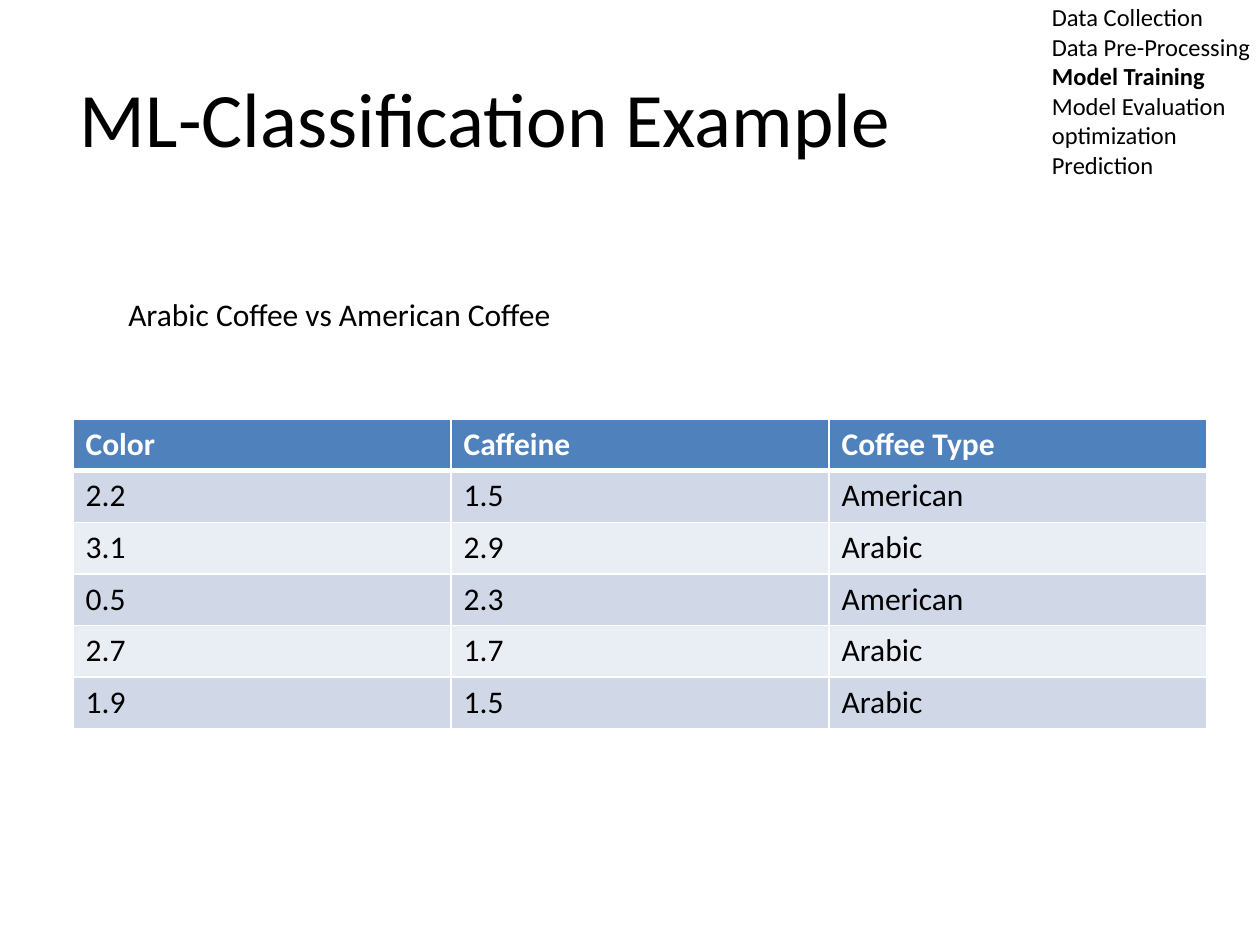
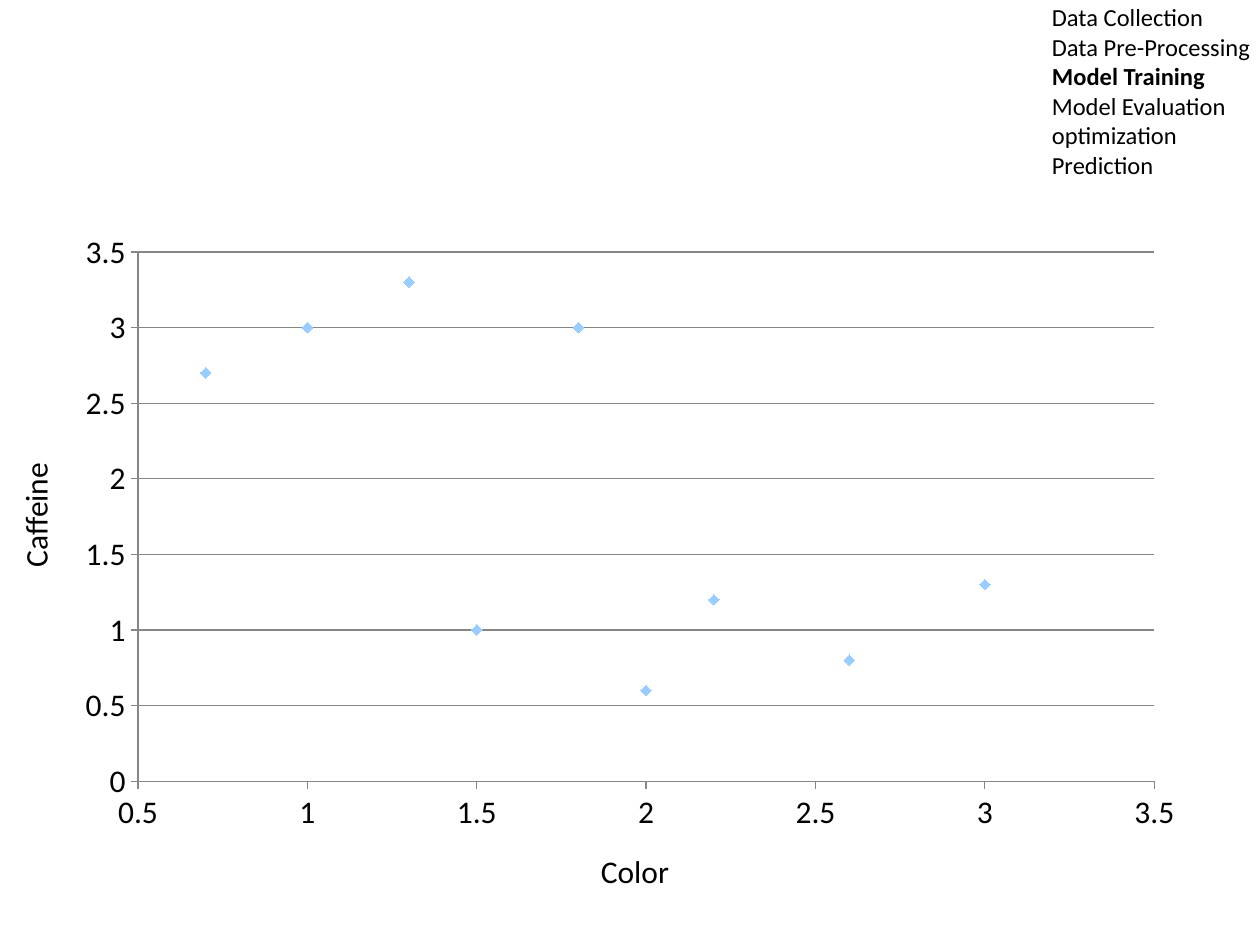
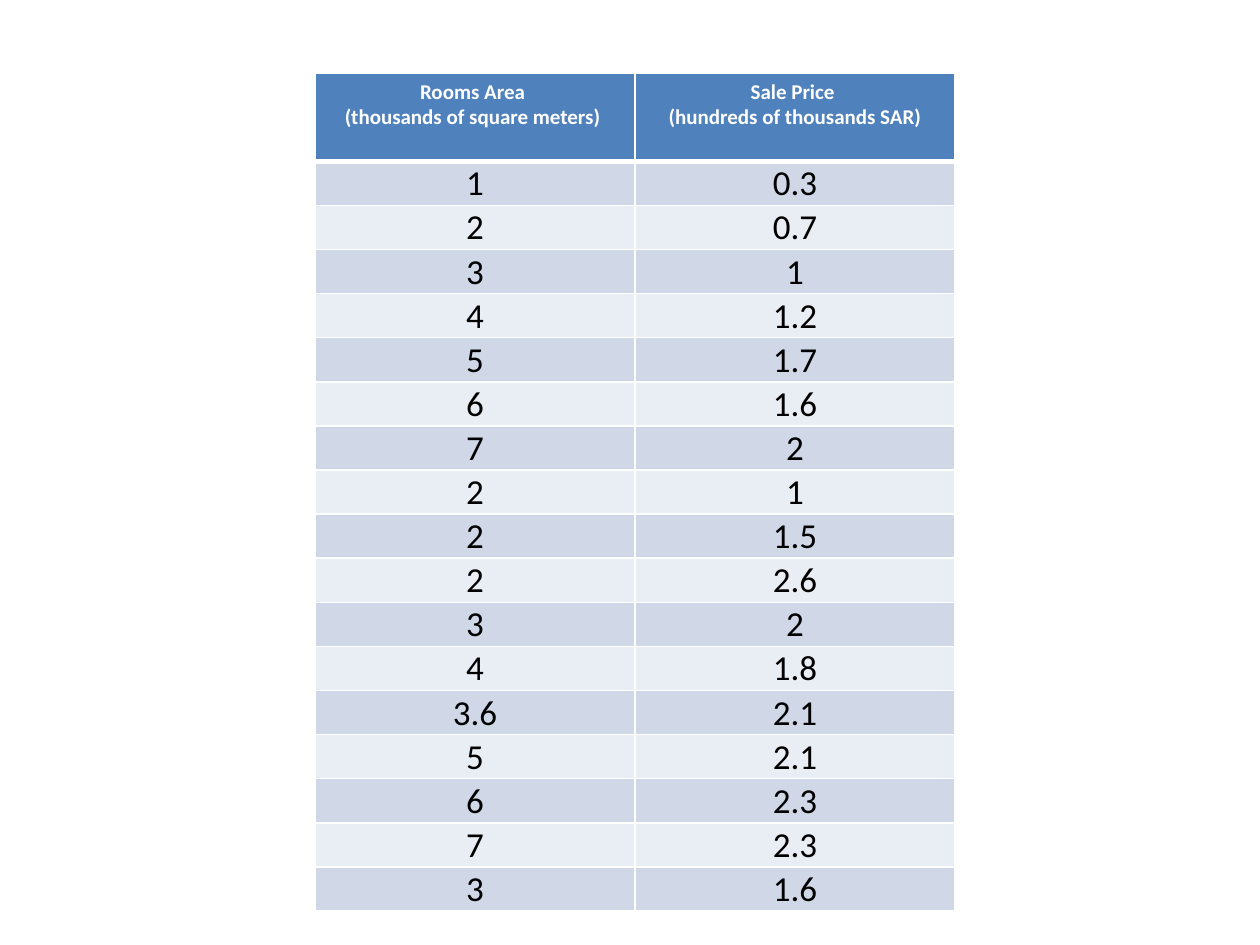
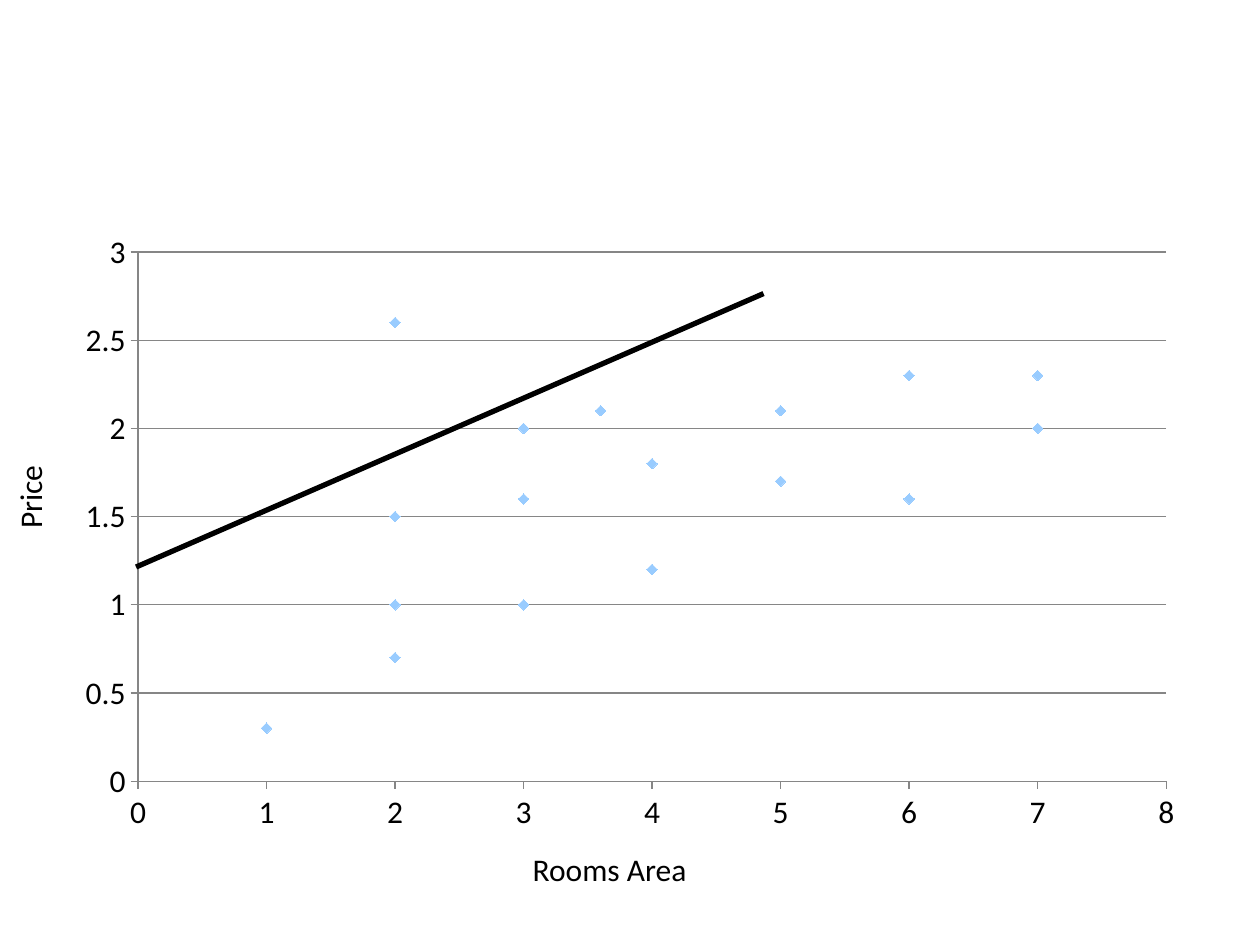
from lxml import etree
from pptx import Presentation
from pptx import util as u
from pptx.chart import data as chart_data
from pptx.dml import color
from pptx.enum import chart as charts, shapes, text
from pptx.oxml import ns

COLORS = {"text": "000000", "white": "FFFFFF", "header": "4F81BD",
          "band_dark": "D0D8E8", "band_light": "E9EDF4",
          "marker": "99CCFF", "axis": "868686"}
FONT = "Calibri"
TITLE_ONLY, BLANK = 5, 6
CENTER = text.PP_ALIGN.CENTER


def rgb(name):
    return color.RGBColor.from_string(COLORS[name])


class Deck:
    """Holds the shared style and the current slide."""

    def __init__(self):
        self.presentation = Presentation()
        self.presentation.slide_width = u.Inches(10)
        self.presentation.slide_height = u.Inches(7.5)
        self.slide = None

    def new_slide(self, layout=BLANK):
        layouts = self.presentation.slide_layouts
        self.slide = self.presentation.slides.add_slide(layouts[layout])

    def add_lines(self, frame, lines, size, ink="text", bold=(), align=None):
        """Add one paragraph per line; bold lists the bold line numbers."""
        for index, line in enumerate(lines):
            paragraph = frame.paragraphs[0] if index == 0 else frame.add_paragraph()
            if align is not None:
                paragraph.alignment = align
            run = paragraph.add_run()
            run.text = line
            run.font.name = FONT
            run.font.size = u.Pt(size)
            run.font.bold = index in bold
            run.font.color.rgb = rgb(ink)

    def title(self, line, left, top, width, height):
        shape = self.slide.shapes.title
        shape.left, shape.top = u.Inches(left), u.Inches(top)
        shape.width, shape.height = u.Inches(width), u.Inches(height)
        shape.text_frame.vertical_anchor = text.MSO_ANCHOR.MIDDLE
        self.add_lines(shape.text_frame, [line], 44, align=CENTER)

    def label(self, lines, left, top, width, height=0.4, size=18, bold=(), rotation=0):
        shape = self.slide.shapes.add_textbox(
            u.Inches(left), u.Inches(top), u.Inches(width), u.Inches(height))
        shape.rotation = rotation
        shape.text_frame.word_wrap = False
        shape.text_frame.auto_size = text.MSO_AUTO_SIZE.SHAPE_TO_FIT_TEXT
        self.add_lines(shape.text_frame, lines, size, bold=bold)

    def pipeline(self, current):
        """List the steps in the corner, with the current one in bold."""
        steps = ["Data Collection", "Data Pre-Processing", "Model Training",
                 "Model Evaluation", "optimization", "Prediction"]
        lines = [step + "\u00a0" for step in steps[:-1]] + steps[-1:]
        self.label(lines, 8.25, -0.03, 1.83, 1.82, size=14,
                   bold=[steps.index(current)])

    def cell_borders(self, cell, bottom):
        properties = cell._tc.get_or_add_tcPr()
        widths = {"a:lnL": 1, "a:lnR": 1, "a:lnT": 1, "a:lnB": bottom}
        for position, (tag, width) in enumerate(widths.items()):
            line = etree.Element(ns.qn(tag), w=str(u.Pt(width)))
            fill = etree.SubElement(line, ns.qn("a:solidFill"))
            etree.SubElement(fill, ns.qn("a:srgbClr"), val=COLORS["white"])
            properties.insert(position, line)

    def table(self, rows, left, top, width, header_height, row_height,
              header_size=18, body_size=18, align=None, tight=False):
        """Each cell is a list of lines; the first row is the header."""
        height = header_height + row_height * (len(rows) - 1)
        table = self.slide.shapes.add_table(
            len(rows), len(rows[0]), u.Inches(left), u.Inches(top),
            u.Inches(width), u.Inches(height)).table
        for row_number, row in enumerate(rows):
            header = row_number == 0
            table.rows[row_number].height = u.Inches(
                header_height if header else row_height)
            band = "header" if header else ("band_light", "band_dark")[row_number % 2]
            for column, lines in enumerate(row):
                cell = table.cell(row_number, column)
                cell.fill.solid()
                cell.fill.fore_color.rgb = rgb(band)
                self.cell_borders(cell, bottom=3 if header else 1)
                if tight and not header:
                    cell.vertical_anchor = text.MSO_ANCHOR.BOTTOM
                    cell.margin_left = cell.margin_right = u.Inches(0.01)
                    cell.margin_top, cell.margin_bottom = u.Inches(0.01), 0
                self.add_lines(cell.text_frame, lines,
                               header_size if header else body_size,
                               ink="white" if header else "text",
                               bold=range(len(lines)) if header else (), align=align)

    def scatter(self, points, x_range, y_range, x_step):
        data = chart_data.XyChartData()
        series_data = data.add_series("Series 1")
        for x, y in points:
            series_data.add_data_point(x, y)
        chart = self.slide.shapes.add_chart(
            charts.XL_CHART_TYPE.XY_SCATTER, u.Inches(0.5), u.Inches(1.75),
            u.Inches(9), u.Inches(4.95), data).chart
        chart.has_title = chart.has_legend = False
        chart.font.name, chart.font.size = FONT, u.Pt(18)
        chart.font.color.rgb = rgb("text")
        chart.plots[0].vary_by_categories = False

        # Axes
        x_axis, y_axis = chart.category_axis, chart.value_axis
        for axis, limits, step in ((x_axis, x_range, x_step), (y_axis, y_range, 0.5)):
            axis.minimum_scale, axis.maximum_scale = limits
            axis.major_unit = step
            axis.major_tick_mark = charts.XL_TICK_MARK.OUTSIDE
            axis.minor_tick_mark = charts.XL_TICK_MARK.NONE
            axis.tick_labels.number_format = "General"
            axis.tick_labels.number_format_is_linked = False
            axis.format.line.color.rgb = rgb("axis")
            axis.format.line.width = u.Pt(0.75)
        x_axis.has_major_gridlines = False
        y_axis.has_major_gridlines = True
        y_axis.major_gridlines.format.line.color.rgb = rgb("axis")
        y_axis.major_gridlines.format.line.width = u.Pt(0.75)

        # Markers only
        series = chart.plots[0].series[0]
        series.smooth = False
        series.format.line.fill.background()
        series.marker.style = charts.XL_MARKER_STYLE.DIAMOND
        series.marker.size = 6
        series.marker.format.fill.solid()
        series.marker.format.fill.fore_color.rgb = rgb("marker")
        series.marker.format.line.fill.background()

    def line(self, start, end, width):
        connector = self.slide.shapes.add_connector(
            shapes.MSO_CONNECTOR.STRAIGHT, *(u.Inches(n) for n in start + end))
        connector.line.color.rgb = rgb("text")
        connector.line.width = u.Pt(width)
        etree.SubElement(connector._element.spPr, ns.qn("a:effectLst"))


COFFEES = [("2.2", "1.5", "American"), ("3.1", "2.9", "Arabic"),
           ("0.5", "2.3", "American"), ("2.7", "1.7", "Arabic"),
           ("1.9", "1.5", "Arabic")]
COFFEE_POINTS = [(0.7, 2.7), (1.8, 3), (2.6, 0.8), (1.5, 1), (1, 3),
                 (3, 1.3), (1.3, 3.3), (2, 0.6), (2.2, 1.2)]
# Rooms area and sale price, shown as a table and as a chart
SALES = [(1, 0.3), (2, 0.7), (3, 1), (4, 1.2), (5, 1.7), (6, 1.6), (7, 2),
         (2, 1), (2, 1.5), (2, 2.6), (3, 2), (4, 1.8), (3.6, 2.1), (5, 2.1),
         (6, 2.3), (7, 2.3), (3, 1.6)]

deck = Deck()

# Slide 1: coffee table
deck.new_slide(TITLE_ONLY)
deck.title("ML-Classification Example ", -0.58, 0.3, 9, 1.25)
coffee_rows = [("Color", "Caffeine ", "Coffee Type")] + COFFEES
deck.table([[[value] for value in row] for row in coffee_rows],
           0.58, 3.33, 9, header_height=0.4, row_height=0.41)
deck.label(["Arabic Coffee vs American Coffee"], 0.92, 2.29, 3.6)
deck.pipeline("Model Training")

# Slide 2: coffee chart
deck.new_slide()
deck.scatter(COFFEE_POINTS, (0.5, 3.5), (0, 3.5), x_step=0.5)
deck.pipeline("Model Training")
deck.label(["Color"], 4.67, 6.71, 0.75)
deck.label(["Caffeine "], -0.27, 3.85, 1.1, rotation=270)

# Slide 3: sales table
deck.new_slide()
sales_header = [["Rooms Area ", "(thousands of square meters) "],
                ["Sale Price ", "(hundreds of thousands SAR)"]]
deck.table([sales_header] + [[[str(value)] for value in sale] for sale in SALES],
           2.5, 0.58, 5.08, header_height=0.7, row_height=0.35,
           header_size=12, body_size=20, align=CENTER, tight=True)

# Slide 4: sales chart with a fitted line
deck.new_slide()
deck.scatter(SALES, (0, 8), (0, 3), x_step=1)
deck.label(["Rooms Area"], 4.13, 6.7, 1.43)
deck.label(["Price"], -0.12, 3.74, 0.71, rotation=270)
deck.line((1.08, 4.5), (6.06, 2.33), 3)

deck.presentation.save("out.pptx")
